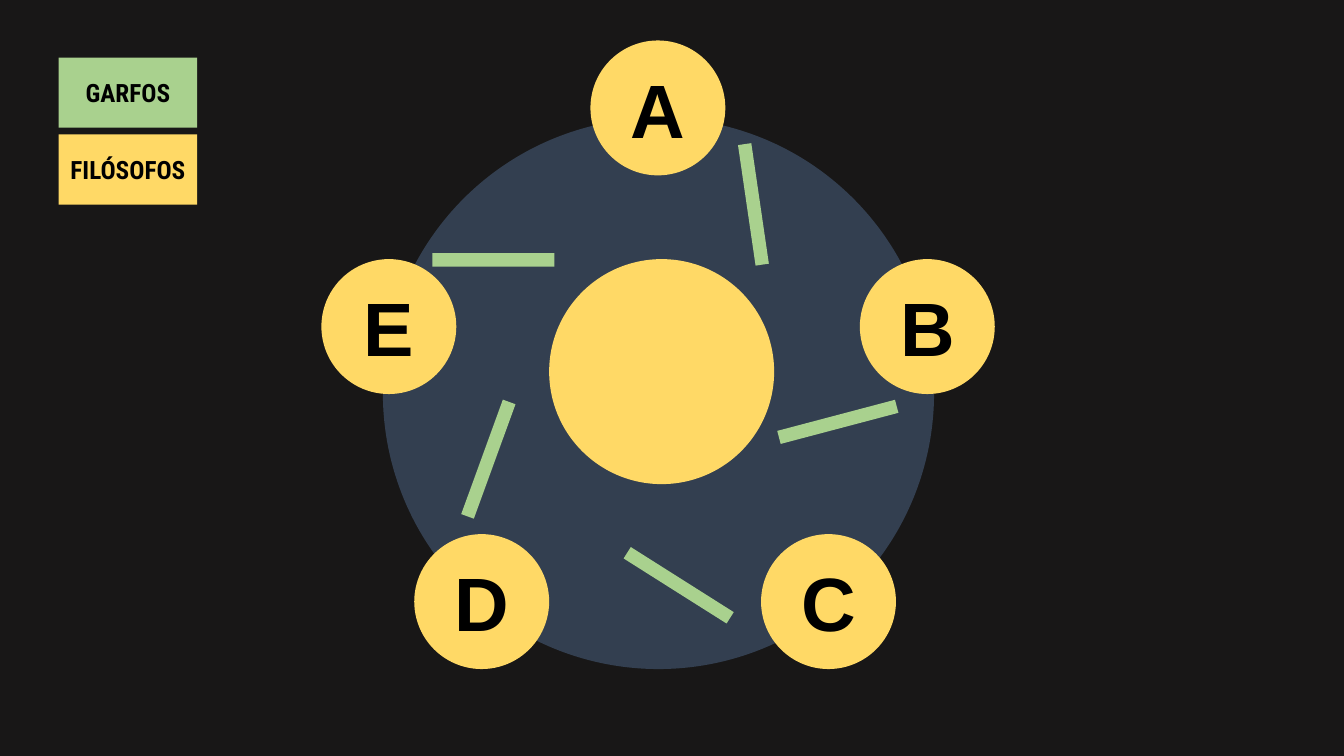
import pptx
import pptx.util
import pptx.dml.color
import pptx.enum.shapes
import pptx.enum.text

Cm = pptx.util.Cm
SHAPE = pptx.enum.shapes.MSO_SHAPE
COLORS = {
    "background": "181717",
    "table": "333F50",
    "philosopher": "FFD966",
    "fork": "A9D18E",
    "text": "000000",
}


def rgb(name):
    return pptx.dml.color.RGBColor.from_string(COLORS[name])


def add_part(shapes, kind, left, top, width, height, color, text="", font="Arial", size=54):
    sp = shapes.add_shape(kind, Cm(left), Cm(top), Cm(width), Cm(height))
    sp.shadow.inherit = False
    sp.fill.solid()
    sp.fill.fore_color.rgb = rgb(color)
    sp.line.fill.background()
    if text:
        tf = sp.text_frame
        tf.word_wrap = False
        tf.vertical_anchor = pptx.enum.text.MSO_ANCHOR.MIDDLE
        p = tf.paragraphs[0]
        p.text = text
        p.alignment = pptx.enum.text.PP_ALIGN.CENTER
        p.font.name = font
        p.font.size = pptx.util.Pt(size)
        p.font.bold = True
        p.font.color.rgb = rgb("text")
    return sp


prs = pptx.Presentation()
prs.slide_width = Cm(33.87)
prs.slide_height = Cm(19.05)
s = prs.slides.add_slide(prs.slide_layouts[6])
s.background.fill.solid()
s.background.fill.fore_color.rgb = rgb("background")

# Round table
diagram = s.shapes.add_group_shape().shapes
add_part(diagram, SHAPE.OVAL, 9.65, 2.97, 13.89, 13.89, "table")

# Philosophers around the table
seats = [
    ("C", 19.18, 13.46),
    ("B", 21.67, 6.53),
    ("D", 10.44, 13.46),
    ("A", 14.88, 1.02),
    ("E", 8.1, 6.53),
]
for letter, left, top in seats:
    add_part(diagram, SHAPE.OVAL, left, top, 3.4, 3.4, "philosopher", letter)

# Dish in the middle
add_part(diagram, SHAPE.OVAL, 13.84, 6.53, 5.67, 5.67, "philosopher")

# Forks: left, top, rotation
forks = [
    (10.9, 6.38, 0),
    (15.57, 14.58, 32.3),
    (19.58, 10.46, 345.2),
    (17.45, 4.98, 81.7),
    (10.77, 11.4, 110),
]
for left, top, angle in forks:
    sp = add_part(diagram, SHAPE.RECTANGLE, left, top, 3.07, 0.34, "fork")
    sp.rotation = angle

# Legend
legend = [("GARFOS", "fork"), ("FILÓSOFOS", "philosopher")]
for i, (label, color) in enumerate(legend):
    add_part(s.shapes, SHAPE.RECTANGLE, 1.48, 1.45 + i * 1.94, 3.49, 1.77,
             color, label, "Roboto Condensed", 18)

prs.save("out.pptx")
